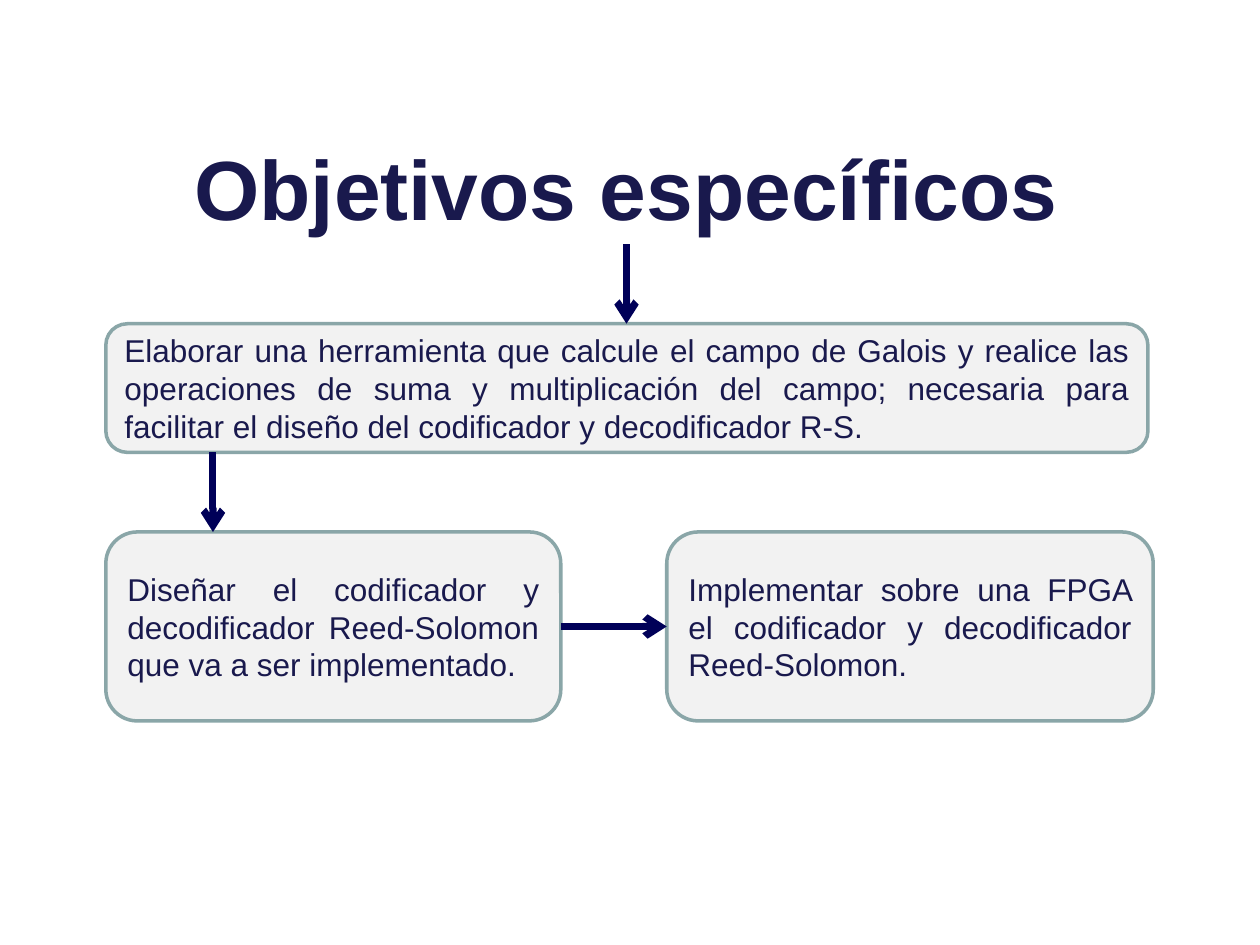
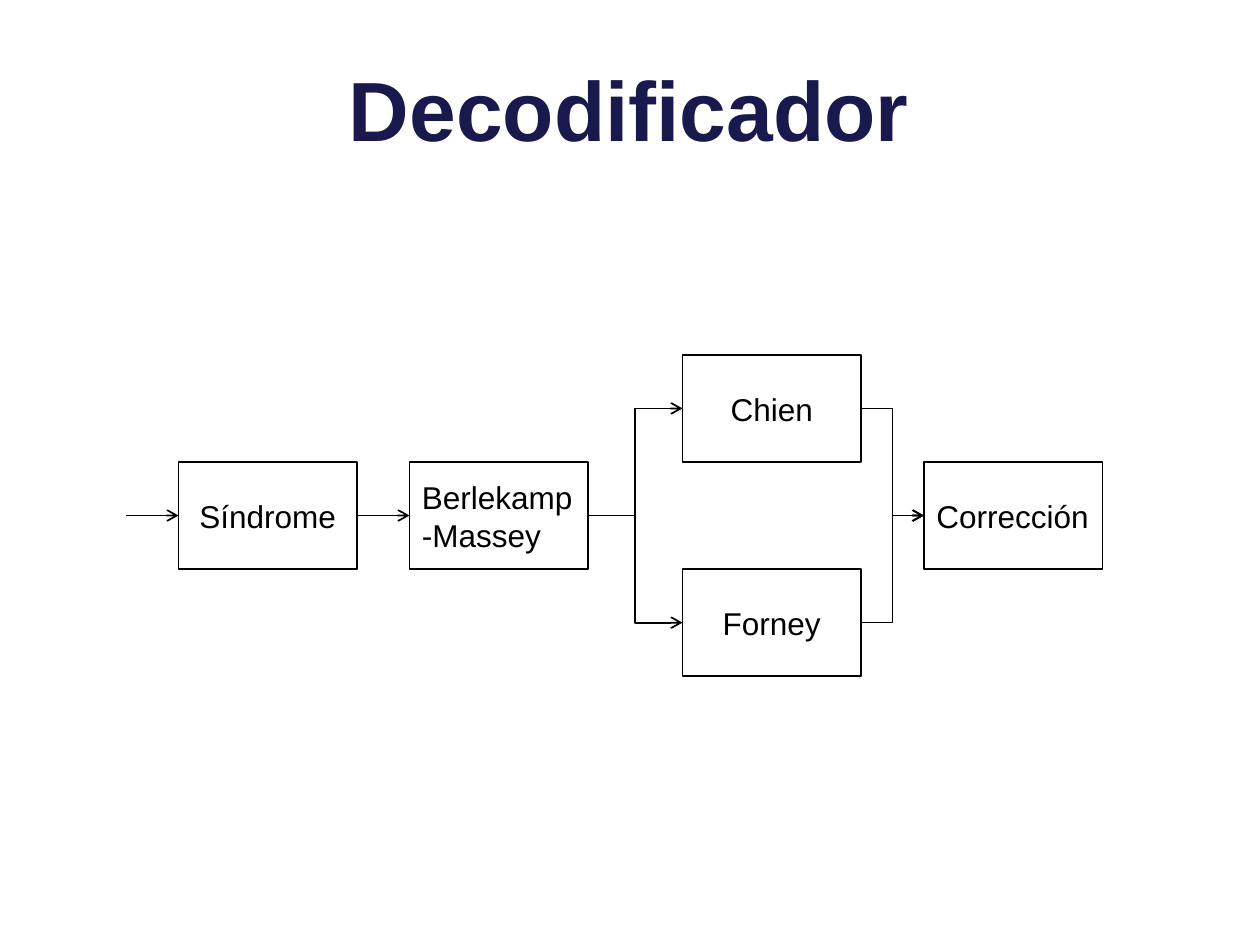
"""Build two slides on the goals and the decoder of a Reed-Solomon design."""
from lxml.etree import SubElement
from pptx import Presentation
from pptx.dml.color import RGBColor
from pptx.enum.shapes import MSO_CONNECTOR as Link, MSO_SHAPE as Shape
from pptx.enum.text import MSO_ANCHOR as Anchor, MSO_AUTO_SIZE as AutoSize, PP_ALIGN as Align
from pptx.oxml.ns import qn
from pptx.util import Pt

NAVY, ARROW_NAVY, BLACK = "19194D", "000058", "000000"
PANEL, PANEL_EDGE = "F2F2F2", "8AA6A8"
LEFT_SITE, RIGHT_SITE = 1, 3


def color(value):
    return RGBColor.from_string(value)


def write(frame, text, size=18, ink=NAVY, bold=False, align=Align.CENTER,
          anchor=Anchor.MIDDLE, wrap=True):
    frame.word_wrap = wrap
    frame.auto_size = AutoSize.NONE
    frame.vertical_anchor = anchor
    paragraph = frame.paragraphs[0]
    paragraph.alignment = align
    run = paragraph.add_run()
    run.text = text
    run.font.name = "Arial"
    run.font.size = Pt(size)
    run.font.bold = bold
    run.font.color.rgb = color(ink)


def add_titled_slide(deck, text, left, top, width, height, wrap=True):
    slide = deck.slides.add_slide(deck.slide_layouts[5])
    title = slide.shapes.title
    title.left, title.top = Pt(left), Pt(top)
    title.width, title.height = Pt(width), Pt(height)
    write(title.text_frame, text, size=48, bold=True, anchor=Anchor.TOP, wrap=wrap)
    return slide


def add_box(slide, kind, left, top, width, height, text, edge, weight, fill=None, **style):
    box = slide.shapes.add_shape(kind, Pt(left), Pt(top), Pt(width), Pt(height))
    box.shadow.inherit = False
    if fill:
        box.fill.solid()
        box.fill.fore_color.rgb = color(fill)
    else:
        box.fill.background()
    box.line.color.rgb = color(edge)
    box.line.width = Pt(weight)
    write(box.text_frame, text, **style)
    return box


def add_arrow(slide, start, end, ink, weight, kind=Link.STRAIGHT):
    arrow = slide.shapes.add_connector(kind, *(Pt(value) for value in (*start, *end)))
    arrow.line.color.rgb = color(ink)
    arrow.line.width = Pt(weight)
    SubElement(arrow.line._get_or_add_ln(), qn("a:tailEnd"), type="arrow")
    SubElement(arrow._element.spPr, qn("a:effectLst"))
    return arrow


def join(slide, source, target, kind=Link.ELBOW):
    arrow = add_arrow(slide, (0, 0), (0, 0), BLACK, 1, kind)
    arrow.begin_connect(source, RIGHT_SITE)
    arrow.end_connect(target, LEFT_SITE)


def build_goals(deck):
    slide = add_titled_slide(deck, "Objetivos específicos", 100.8, 74.2, 514, 65.5, wrap=False)
    goals = [
        (60.5, 185, 595.5, 73.5, "Elaborar una herramienta que calcule el campo de Galois y "
         "realice las operaciones de suma y multiplicación del campo; necesaria para "
         "facilitar el diseño del codificador y decodificador R-S."),
        (60.5, 304, 260, 108, "Diseñar el codificador y decodificador Reed-Solomon "
         "que va a ser implementado."),
        (381, 304, 278, 108, "Implementar sobre una FPGA el codificador y decodificador "
         "Reed-Solomon."),
    ]
    for *place, goal in goals:
        add_box(slide, Shape.ROUNDED_RECTANGLE, *place, goal, PANEL_EDGE, 2,
                fill=PANEL, align=Align.JUSTIFY)
    steps = [((358, 139.5), (358, 185)), ((121.7, 258.5), (121.7, 304)),
             ((320.5, 358), (381, 358))]
    for start, end in steps:
        add_arrow(slide, start, end, ARROW_NAVY, 4)


def build_decoder(deck):
    slide = add_titled_slide(deck, "Decodificador", 14.4, 29.5, 690, 154)
    middle, offset, width, height = 264, 61.2, 102, 61.2

    def add_stage(name, left, row=0, align=Align.CENTER):
        return add_box(slide, Shape.RECTANGLE, left, middle + row * offset, width, height,
                       name, BLACK, 1, ink=BLACK, align=align)

    syndrome = add_stage("Síndrome", 102)
    berlekamp = add_stage("Berlekamp-Massey", 234, align=Align.LEFT)
    chien = add_stage("Chien", 390, row=-1)
    forney = add_stage("Forney", 390, row=1)
    correction = add_stage("Corrección", 528, align=Align.LEFT)

    input_y = middle + height / 2
    add_arrow(slide, (72, input_y), (102, input_y), BLACK, 1)
    join(slide, syndrome, berlekamp, Link.STRAIGHT)
    for search in (chien, forney):
        join(slide, berlekamp, search)
        join(slide, search, correction)


def main():
    deck = Presentation()
    deck.slide_width, deck.slide_height = Pt(720), Pt(540)
    build_goals(deck)
    build_decoder(deck)
    deck.save("out.pptx")


if __name__ == "__main__":
    main()
